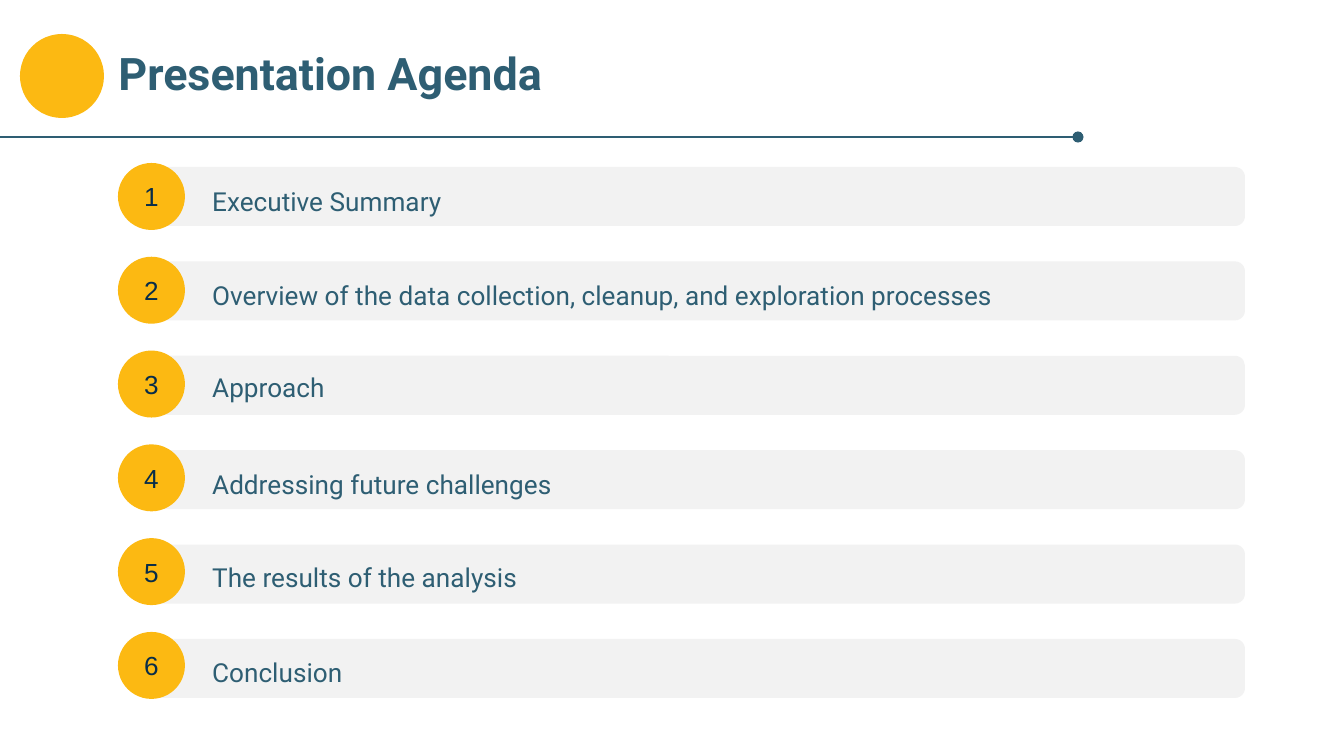
import pptx
import pptx.util
import pptx.dml.color
import pptx.enum.shapes
import pptx.enum.text
import lxml.etree

TITLE = "Presentation Agenda"
ITEMS = [
    ("Executive Summary", 167),
    ("Overview of the data collection, cleanup, and exploration processes", 261),
    ("Approach", 353),
    ("Addressing future challenges", 450),
    ("The results of the analysis", 543),
    ("Conclusion", 638),
]
TEAL, GOLD, GREY, NAVY = "2E5E73", "FCB912", "F2F2F2", "082D49"
BAR_TOP, BAR_SPAN = 167, 472
DOT_TOP, DOT_SPAN = 163, 469

KIND = pptx.enum.shapes.MSO_SHAPE
ALIGN = pptx.enum.text.PP_ALIGN
ANCHOR = pptx.enum.text.MSO_ANCHOR


def px(n):
    return round(n * 914400 / 134.4)


def color(code):
    return pptx.dml.color.RGBColor.from_string(code)


def write(shape, text, size=14, font="Roboto", ink=TEAL, bold=False,
          align=ALIGN.LEFT, anchor=ANCHOR.TOP, space=1.0):
    frame = shape.text_frame
    frame.word_wrap = True
    frame.auto_size = pptx.enum.text.MSO_AUTO_SIZE.NONE
    frame.vertical_anchor = anchor
    frame.margin_left = frame.margin_right = pptx.util.Inches(0.1)
    frame.margin_top = frame.margin_bottom = pptx.util.Inches(0.1)
    para = frame.paragraphs[0]
    para.alignment = align
    para.line_spacing = space
    run = para.add_run()
    run.text = text
    run.font.name = font
    run.font.size = pptx.util.Pt(size)
    run.font.bold = bold
    run.font.color.rgb = color(ink)


def draw(kind, left, top, width, height, fill):
    shape = slide.shapes.add_shape(kind, px(left), px(top), px(width), px(height))
    shape.shadow.inherit = False
    shape.fill.solid()
    shape.fill.fore_color.rgb = color(fill)
    shape.line.fill.background()
    return shape


deck = pptx.Presentation()
deck.slide_width, deck.slide_height = px(1344), px(756)
slide = deck.slides.add_slide(deck.slide_layouts[5])

title = slide.shapes.title
title.left, title.top, title.width, title.height = px(105), px(32), px(1193), px(85)
write(title, TITLE, size=24, bold=True)
draw(KIND.OVAL, 20, 34, 84, 84, GOLD)

last = len(ITEMS) - 1
for i, (text, top) in enumerate(ITEMS):
    bar = draw(KIND.ROUNDED_RECTANGLE, 140, BAR_TOP + i * BAR_SPAN / last, 1105, 59, GREY)
    bar.adjustments[0] = 0.17
    label = slide.shapes.add_textbox(px(199), px(top), px(1013), px(63))
    write(label, text, space=1.15)
    dot = draw(KIND.OVAL, 118, DOT_TOP + i * DOT_SPAN / last, 67, 67, GOLD)
    write(dot, str(i + 1), font="Arial", ink=NAVY,
          align=ALIGN.CENTER, anchor=ANCHOR.MIDDLE)

rule = slide.shapes.add_connector(
    pptx.enum.shapes.MSO_CONNECTOR.STRAIGHT, px(-1), px(137), px(1078), px(137))
rule.line.color.rgb = color(TEAL)
rule.line.width = pptx.util.Pt(1.5)
props = rule.line._get_or_add_ln()
lxml.etree.SubElement(props, pptx.oxml.ns.qn("a:tailEnd"), type="oval")
lxml.etree.SubElement(rule._element.spPr, pptx.oxml.ns.qn("a:effectLst"))

deck.save("out.pptx")
